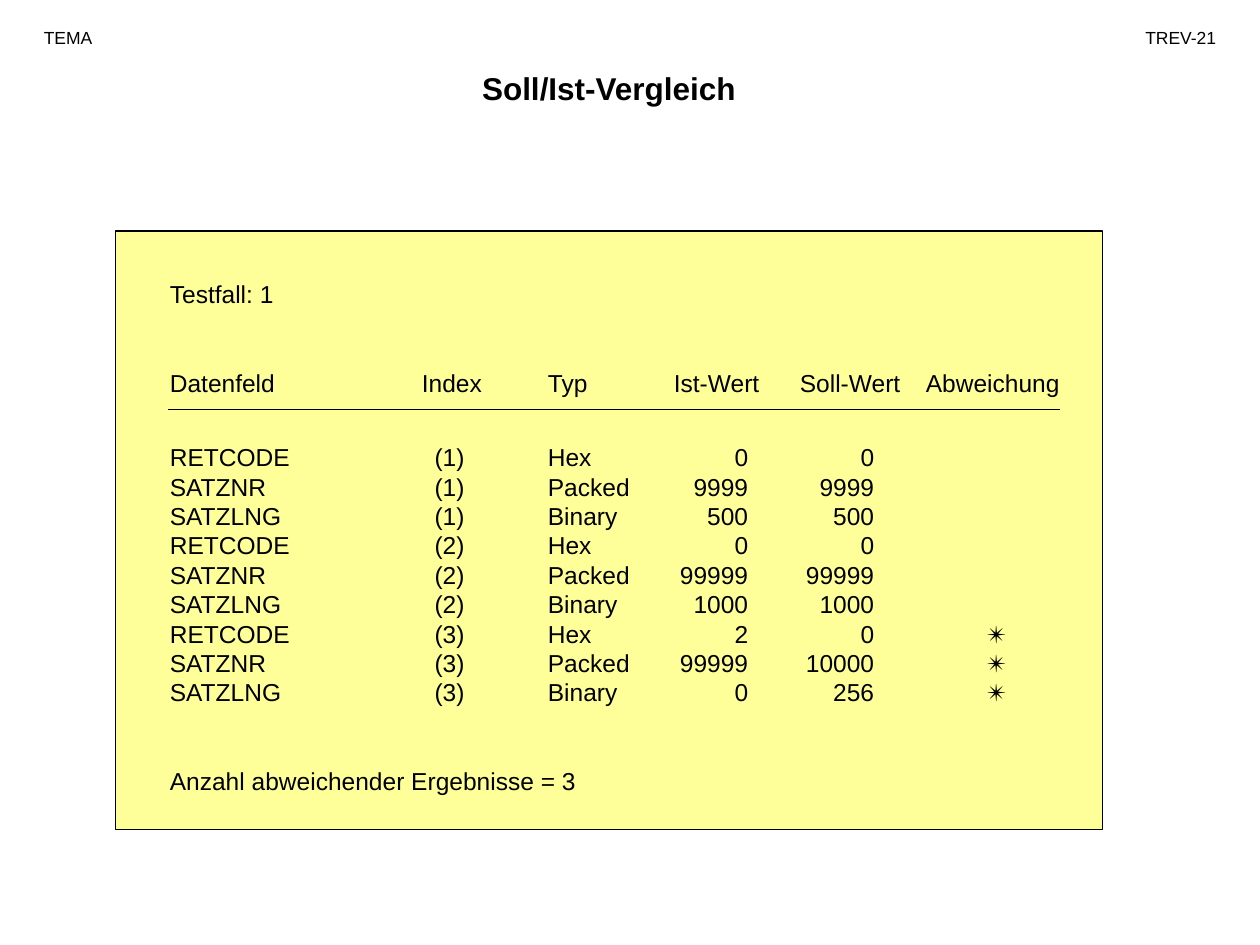
from dataclasses import dataclass

from lxml import etree
from pptx import Presentation
from pptx import util as u
from pptx.dml.color import RGBColor
from pptx.enum import shapes, text
from pptx.oxml.ns import qn

BLACK = RGBColor(0x00, 0x00, 0x00)
PANEL_YELLOW = RGBColor(0xFF, 0xFF, 0x99)
FONT = "Arial"
COLUMNS, ROWS = 120, 90
SLIDE_WIDTH, SLIDE_HEIGHT = u.Inches(10), u.Inches(7.5)

# Tab stops in inches from the left edge of the text
HEADER_TABS = [(2, "l"), (3, "l"), (4, "l"), (5, "l"), (6, "l")]
RECORD_TABS = [(2.22, "ctr"), (3, "l"), (4.59, "r"), (5.59, "r"), (6.56, "ctr")]

HEADINGS = ("Datenfeld", "Index", "Typ", "Ist-Wert", "Soll-Wert", "Abweichung")
FIELDS = (("RETCODE", "Hex"), ("SATZNR", "Packed"), ("SATZLNG", "Binary"))
VALUES = (
    ((0, 0), (9999, 9999), (500, 500)),
    ((0, 0), (99999, 99999), (1000, 1000)),
    ((2, 0), (99999, 10000), (0, 256)),
)


@dataclass(frozen=True)
class Box:
    """Position and size in columns and rows of the slide grid."""
    column: float
    row: float
    width: float
    height: float

    def lengths(self) -> tuple[int, int, int, int]:
        return (across(self.column), down(self.row),
                across(self.width), down(self.height))


@dataclass(frozen=True)
class Line:
    content: str
    size: float = 14
    bold: bool = False
    align: text.PP_ALIGN = text.PP_ALIGN.LEFT
    space_before: float = 0
    tabs: tuple = ()


def across(columns: float) -> int:
    return round(SLIDE_WIDTH * columns / COLUMNS)


def down(rows: float) -> int:
    return round(SLIDE_HEIGHT * rows / ROWS)


def add_tab_stops(paragraph, tabs) -> None:
    tab_list = etree.SubElement(paragraph._p.get_or_add_pPr(), qn("a:tabLst"))
    for position, align in tabs:
        etree.SubElement(tab_list, qn("a:tab"),
                         pos=str(u.Inches(position)), algn=align)


def write_lines(shape, lines: list[Line]) -> None:
    frame = shape.text_frame
    frame_format = {
        "word_wrap": True,
        "auto_size": text.MSO_AUTO_SIZE.NONE,
        "vertical_anchor": text.MSO_ANCHOR.TOP,
        "margin_left": u.Inches(0.1), "margin_right": u.Inches(0.1),
        "margin_top": u.Inches(0.05), "margin_bottom": u.Inches(0.05),
    }
    for name, value in frame_format.items():
        setattr(frame, name, value)
    for index, line in enumerate(lines):
        paragraph = frame.add_paragraph() if index else frame.paragraphs[0]
        paragraph.alignment = line.align
        paragraph.space_before = u.Pt(line.space_before)
        if line.tabs:
            add_tab_stops(paragraph, line.tabs)
        run = paragraph.add_run()
        run.text = line.content
        run_format = {"name": FONT, "size": u.Pt(line.size), "bold": line.bold}
        for name, value in run_format.items():
            setattr(run.font, name, value)
        run.font.color.rgb = BLACK


def add_text(slide, box: Box, lines: list[Line]) -> None:
    write_lines(slide.shapes.add_textbox(*box.lengths()), lines)


def add_panel(slide, box: Box) -> None:
    panel = slide.shapes.add_shape(shapes.MSO_SHAPE.RECTANGLE, *box.lengths())
    panel.shadow.inherit = False
    panel.fill.solid()
    panel.fill.fore_color.rgb = PANEL_YELLOW
    panel.line.color.rgb = BLACK
    panel.line.width = u.Pt(0.75)


def add_rule(slide, start: float, end: float, row: float) -> None:
    rule = slide.shapes.add_connector(
        shapes.MSO_CONNECTOR.STRAIGHT,
        across(start), down(row), across(end), down(row))
    rule.line.color.rgb = BLACK
    rule.line.width = u.Pt(0.75)
    etree.SubElement(rule._element.spPr, qn("a:effectLst"))


def set_title(slide, box: Box, line: Line) -> None:
    title = slide.shapes.title
    title.left, title.top, title.width, title.height = box.lengths()
    write_lines(title, [line])


def record_lines() -> list[Line]:
    """One line per data field, starred where actual and expected differ."""
    lines = []
    for number, group in enumerate(VALUES, start=1):
        for (field, kind), (actual, expected) in zip(FIELDS, group):
            cells = [field, f"({number})", kind, str(actual), str(expected)]
            if actual != expected:
                cells.append("✴")
            lines.append(Line("\t".join(cells), tabs=RECORD_TABS,
                              space_before=0 if lines else 25.5))
    return lines


def main() -> None:
    presentation = Presentation()
    presentation.slide_width = SLIDE_WIDTH
    presentation.slide_height = SLIDE_HEIGHT
    slide = presentation.slides.add_slide(presentation.slide_layouts[5])

    add_panel(slide, Box(11, 22, 94, 57))
    set_title(slide, Box(9, 6, 98, 4.8),
              Line("Soll/Ist-Vergleich", 18, True, text.PP_ALIGN.CENTER))
    add_text(slide, Box(3, 2, 11, 3.2), [Line("TEMA", 10)])
    add_text(slide, Box(104, 2, 13, 3.2),
             [Line("TREV-21", 10, align=text.PP_ALIGN.RIGHT)])
    add_text(slide, Box(15, 26, 91, 50.5), [
        Line("Testfall: 1"),
        Line("\t".join(HEADINGS), space_before=34, tabs=HEADER_TABS),
        *record_lines(),
        Line("Anzahl abweichender Ergebnisse = 3", space_before=34),
    ])
    add_rule(slide, 16, 101, 39)

    presentation.save("out.pptx")


if __name__ == "__main__":
    main()
